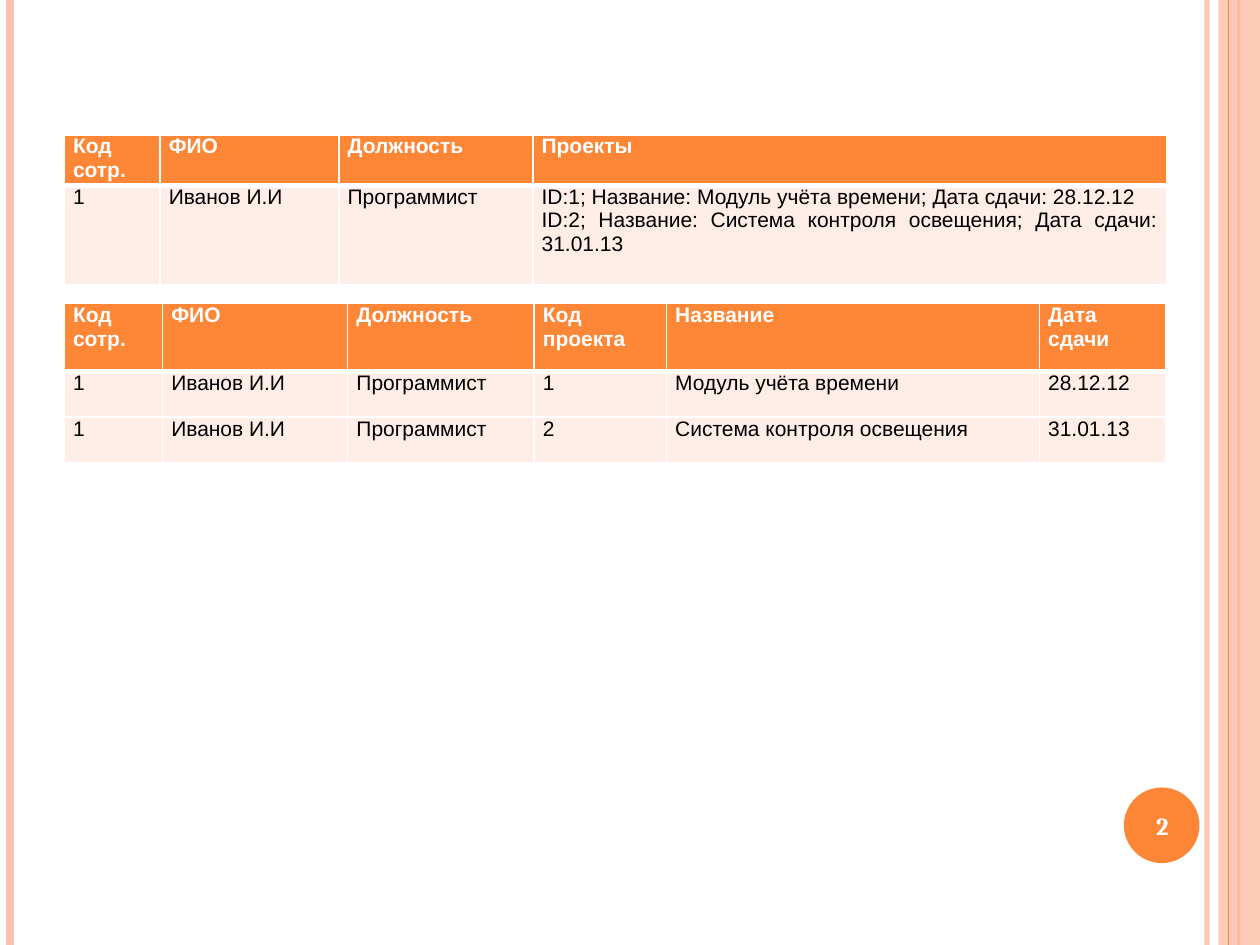
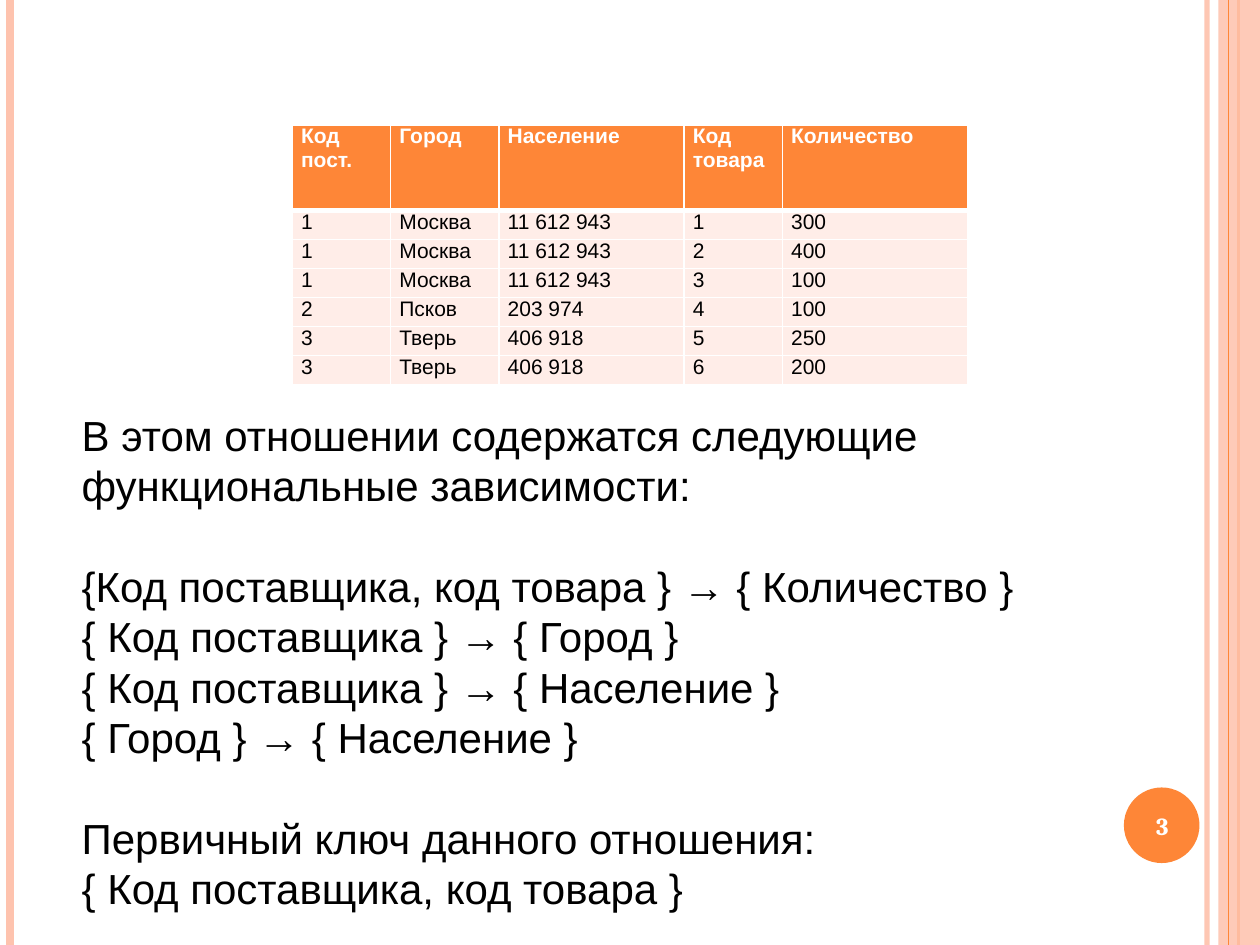
from dataclasses import dataclass

from lxml import etree
from pptx import Presentation
from pptx.dml.color import RGBColor
from pptx.enum import shapes, text
from pptx.oxml import ns
from pptx.util import Inches, Pt


@dataclass(frozen=True)
class Theme:
    orange: str = "FE8637"
    peach: str = "FEC3AE"
    pale: str = "FFEDE8"
    white: str = "FFFFFF"
    black: str = "000000"
    font: str = "Arial"
    number_font: str = "Cambria"
    table_size: float = 12
    body_size: float = 24
    body_leading: float = 28.8
    number_size: float = 14


T = Theme()
WIDTH, HEIGHT = 10, 7.5


def rgb(color):
    return RGBColor.from_string(color)


def set_font(p, size, color, bold=False, name=T.font):
    for r in p.runs:
        r.font.name, r.font.size, r.font.bold = name, Pt(size), bold
        r.font.color.rgb = rgb(color)


def set_alpha(element, percent):
    color = next(element.iter(ns.qn("a:srgbClr")))
    etree.SubElement(color, ns.qn("a:alpha")).set("val", str(percent * 1000))


# Shared frame: side stripes and page number
def add_stripe(s, x, color, width, alpha=None):
    line = s.shapes.add_connector(shapes.MSO_CONNECTOR.STRAIGHT,
                                  Inches(x), 0, Inches(x), Inches(HEIGHT))
    line.line.color.rgb = rgb(color)
    line.line.width = Pt(width)
    props = line._element.spPr
    if alpha:
        set_alpha(props, alpha)
    etree.SubElement(props, ns.qn("a:effectLst"))


def add_solid(s, kind, box, color):
    sp = s.shapes.add_shape(kind, *map(Inches, box))
    sp.shadow.inherit = False
    sp.fill.solid()
    sp.fill.fore_color.rgb = rgb(color)
    sp.line.fill.background()
    return sp


def add_frame(s, number):
    add_stripe(s, 9.58, T.peach, 3, alpha=93)
    add_stripe(s, 0.08, T.peach, 4.5)
    add_stripe(s, 9.83, T.orange, 1.5)
    band = add_solid(s, shapes.MSO_SHAPE.RECTANGLE,
                     (9.67, 0, WIDTH - 9.67, HEIGHT), T.peach)
    set_alpha(band._element.spPr, 87)
    add_stripe(s, 9.75, T.orange, 0.75)
    add_solid(s, shapes.MSO_SHAPE.OVAL, (8.92, 6.25, 0.6, 0.6), T.orange)

    tf = add_text_box(s, (8.89, 6.27, 0.67, 0.57))
    tf.vertical_anchor = text.MSO_ANCHOR.MIDDLE
    tf.text = str(number)
    p = tf.paragraphs[0]
    p.alignment = text.PP_ALIGN.CENTER
    set_font(p, T.number_size, T.white, True, T.number_font)


def add_text_box(s, box):
    tf = s.shapes.add_textbox(*map(Inches, box)).text_frame
    tf.word_wrap = True
    return tf


# Tables: orange header row over pale rows, white rules
def set_borders(cell, bottom):
    props = cell._tc.get_or_add_tcPr()
    widths = {"lnL": 1, "lnR": 1, "lnT": 1, "lnB": bottom}
    for i, (tag, width) in enumerate(widths.items()):
        ln = etree.Element(ns.qn("a:" + tag), w=str(Pt(width)))
        fill = etree.SubElement(ln, ns.qn("a:solidFill"))
        etree.SubElement(fill, ns.qn("a:srgbClr"), val=T.white)
        props.insert(i, ln)


def fill_cell(cell, content, header):
    cell.margin_left = cell.margin_right = Inches(0.07)
    cell.margin_top = cell.margin_bottom = 0
    cell.fill.solid()
    cell.fill.fore_color.rgb = rgb(T.orange if header else T.pale)
    set_borders(cell, 3 if header else 1)
    cell.text_frame.text = content
    for p in cell.text_frame.paragraphs:
        p.alignment = text.PP_ALIGN.JUSTIFY
        set_font(p, T.table_size, T.white if header else T.black, header)


def add_data_table(s, left, top, widths, heights, rows):
    table = s.shapes.add_table(len(rows), len(widths), Inches(left), Inches(top),
                               Inches(sum(widths)), Inches(sum(heights))).table
    table.horz_banding = False
    for column, width in zip(table.columns, widths):
        column.width = Inches(width)
    for i, (row, height, values) in enumerate(zip(table.rows, heights, rows)):
        row.height = Inches(height)
        for cell, value in zip(row.cells, values):
            fill_cell(cell, value, header=i == 0)


# Body text: each group after the first is set off by one line
def add_groups(s, box, groups):
    tf = add_text_box(s, box)
    tf.text = "\n".join(line for group in groups for line in group)
    paragraphs = iter(tf.paragraphs)
    for g, group in enumerate(groups):
        for i in range(len(group)):
            p = next(paragraphs)
            p.line_spacing = Pt(T.body_leading)
            if g and i == 0:
                p.space_before = Pt(T.body_leading)
            set_font(p, T.body_size, T.black)


EMPLOYEE = ("1", "Иванов И.И", "Программист")
EMPLOYEE_HEAD = ("Код\nсотр.", "ФИО", "Должность")

NESTED_PROJECTS = [
    (*EMPLOYEE_HEAD, "Проекты"),
    (*EMPLOYEE, "ID:1; Название: Модуль учёта времени; Дата сдачи: 28.12.12\n"
                "ID:2; Название: Система контроля освещения; Дата сдачи: 31.01.13"),
]
FLAT_PROJECTS = [
    (*EMPLOYEE_HEAD, "Код\nпроекта", "Название", "Дата сдачи"),
    (*EMPLOYEE, "1", "Модуль учёта времени", "28.12.12"),
    (*EMPLOYEE, "2", "Система контроля освещения", "31.01.13"),
]

MOSCOW = ("1", "Москва", "11 612 943")
PSKOV = ("2", "Псков", "203 974")
TVER = ("3", "Тверь", "406 918")
SUPPLIES = [
    ("Код пост.", "Город", "Население", "Код\nтовара", "Количество"),
    (*MOSCOW, "1", "300"),
    (*MOSCOW, "2", "400"),
    (*MOSCOW, "3", "100"),
    (*PSKOV, "4", "100"),
    (*TVER, "5", "250"),
    (*TVER, "6", "200"),
]
DEPENDENCIES = [
    ["В этом отношении содержатся следующие функциональные зависимости:"],
    ["{Код поставщика, код товара } → { Количество }",
     "{ Код поставщика } → { Город }",
     "{ Код поставщика } → { Население }",
     "{ Город } → { Население }"],
    ["Первичный ключ данного отношения:",
     "{ Код поставщика, код товара }"],
]


def build_projects(s):
    add_frame(s, 2)
    add_data_table(s, 0.51, 1.07, [0.76, 1.42, 1.54, 5.03], [0.4, 0.79],
                   NESTED_PROJECTS)
    add_data_table(s, 0.51, 2.41, [0.78, 1.47, 1.48, 1.05, 2.96, 1],
                   [0.54, 0.36, 0.36], FLAT_PROJECTS)


def build_supplies(s):
    add_frame(s, 3)
    add_groups(s, (0.55, 3.2, 8, 4.3), DEPENDENCIES)
    add_data_table(s, 2.32, 0.99, [0.78, 0.86, 1.47, 0.78, 1.47],
                   [0.68] + [0.23] * 6, SUPPLIES)


def main():
    prs = Presentation()
    prs.slide_width, prs.slide_height = Inches(WIDTH), Inches(HEIGHT)
    for build in (build_projects, build_supplies):
        build(prs.slides.add_slide(prs.slide_layouts[6]))
    prs.save("out.pptx")


if __name__ == "__main__":
    main()
